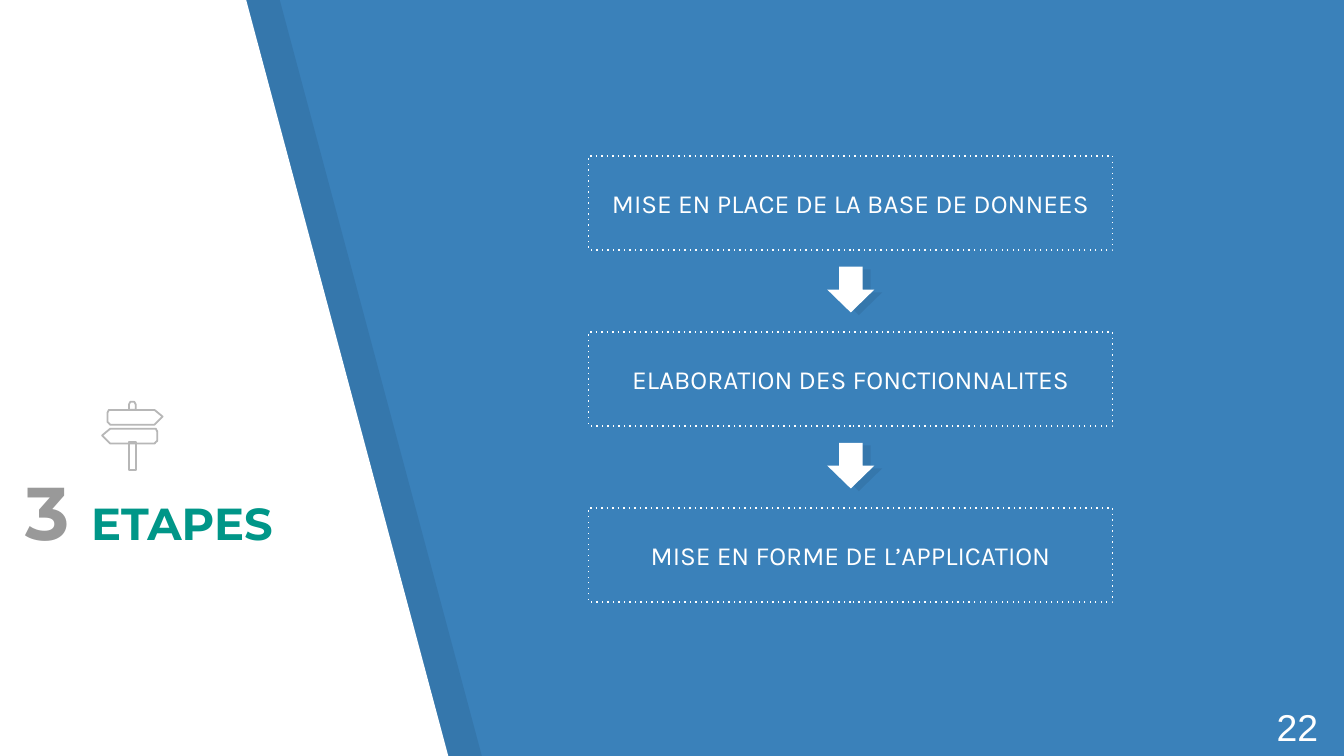
from lxml import etree
from pptx import Presentation
from pptx.dml.color import RGBColor
from pptx.enum.shapes import MSO_SHAPE
from pptx.enum.text import MSO_ANCHOR, PP_ALIGN
from pptx.oxml.ns import qn
from pptx.util import Inches, Pt

RECTANGLE = MSO_SHAPE.RECTANGLE
RIGHT_ARROW = MSO_SHAPE.RIGHT_ARROW
TOP, MIDDLE, BOTTOM = MSO_ANCHOR.TOP, MSO_ANCHOR.MIDDLE, MSO_ANCHOR.BOTTOM
LEFT, CENTER = PP_ALIGN.LEFT, PP_ALIGN.CENTER

BLUE = RGBColor(0x3A, 0x81, 0xBA)
WHITE = RGBColor(0xFF, 0xFF, 0xFF)
BLACK = RGBColor(0x00, 0x00, 0x00)
GREEN = RGBColor(0x00, 0x96, 0x88)
GRAY = RGBColor(0x99, 0x99, 0x99)
LIGHT_GRAY = RGBColor(0xB7, 0xB7, 0xB7)

PAGE_WIDTH = 10
PAGE_HEIGHT = PAGE_WIDTH * 9 / 16
STEPS = [
    "MISE EN PLACE DE LA BASE DE DONNEES",
    "ELABORATION DES FONCTIONNALITES",
    "MISE EN FORME DE L’APPLICATION",
]
STEP_LEFT, STEP_TOP, STEP_WIDTH, STEP_HEIGHT = 4.38, 1.16, 3.9, 0.7
STEP_PITCH = 1.31
ARROW_LEFT, ARROW_DROP = 6.16, 0.82
SHADOW_OPACITY = 7


def style_shape(shape, fill=None, opacity=100, line=None, line_width=0.75):
    shape.shadow.inherit = False
    if fill is None:
        shape.fill.background()
    else:
        shape.fill.solid()
        shape.fill.fore_color.rgb = fill
        if opacity < 100:
            color = shape._element.spPr.find(".//" + qn("a:srgbClr"))
            etree.SubElement(color, qn("a:alpha"), val=str(opacity * 1000))
    if line is None:
        shape.line.fill.background()
    else:
        shape.line.color.rgb = line
        shape.line.width = Pt(line_width)


def add_span(para, text, font="Arial", size=14, color=WHITE, bold=False):
    span = para.add_run()
    span.text = text
    span.font.name = font
    span.font.size = Pt(size)
    span.font.color.rgb = color
    span.font.bold = bold


def prepare_text(shape, anchor=TOP, align=LEFT, margin=0.1):
    frame = shape.text_frame
    frame.word_wrap = True
    frame.vertical_anchor = anchor
    frame.margin_left = frame.margin_right = Inches(0.1)
    frame.margin_top = frame.margin_bottom = Inches(margin)
    para = frame.paragraphs[0]
    para.alignment = align
    return para


def add_text_box(page, left, top, width, height, **layout):
    box = page.shapes.add_textbox(
        Inches(left), Inches(top), Inches(width), Inches(height))
    return prepare_text(box, **layout)


def add_outline(shapes, points, **style):
    corners = [(Inches(x), Inches(y)) for x, y in points]
    builder = shapes.build_freeform(*corners[0])
    builder.add_line_segments(corners[1:], close=True)
    style_shape(builder.convert_to_shape(), **style)


def add_panel(page, shift, **style):
    corners = [(-0.02, -0.01), (-0.02, 5.64), (3.34, 5.64), (1.83, -0.01)]
    add_outline(page.shapes, [(x + shift, y) for x, y in corners], **style)


def add_title(page):
    para = add_text_box(page, 0, 3.5, 2.22, 0.73, anchor=BOTTOM)
    add_span(para, " ", font="Montserrat", size=24, color=GRAY, bold=True)
    add_span(para, "3 ", font="Montserrat", size=40, color=GRAY, bold=True)
    add_span(para, "ETAPES", font="Montserrat", size=24, color=GREEN, bold=True)


def add_step(page, text, top):
    box = page.shapes.add_shape(
        RECTANGLE, Inches(STEP_LEFT), Inches(top),
        Inches(STEP_WIDTH), Inches(STEP_HEIGHT))
    style_shape(box, line=WHITE)
    border = box._element.spPr.find(qn("a:ln"))
    etree.SubElement(border, qn("a:prstDash"), val="dot")
    para = prepare_text(box, anchor=MIDDLE, align=CENTER)
    add_span(para, text, font="Karla")


def add_down_arrow(page, top):
    group = page.shapes.add_group_shape()
    for right, down, fill, opacity in [
            (0.06, 0.02, BLACK, SHADOW_OPACITY), (0, 0, WHITE, 100)]:
        arrow = group.shapes.add_shape(
            RIGHT_ARROW, Inches(ARROW_LEFT + right), Inches(top + down),
            Inches(0.34), Inches(0.35))
        arrow.rotation = 90
        style_shape(arrow, fill=fill, opacity=opacity)


def add_signpost(page):
    board = [(1.15, 3.05), (0.82, 3.05), (0.81, 3.05), (0.8, 3.07),
             (0.8, 3.14), (0.81, 3.15), (0.82, 3.16), (1.15, 3.16),
             (1.21, 3.1)]
    mirrored_board = [(1.97 - x, y + 0.14) for x, y in board]
    cap = [(1.01, 3.05), (1.01, 3.01), (1, 2.99), (0.97, 2.99),
           (0.96, 3.01), (0.96, 3.05)]
    post = [(0.96, 3.29), (0.96, 3.5), (1.01, 3.5), (1.01, 3.29)]
    group = page.shapes.add_group_shape()
    for points in (board, mirrored_board, cap, post):
        add_outline(group.shapes, points, line=LIGHT_GRAY, line_width=0.96)


def main():
    deck = Presentation()
    deck.slide_width = Inches(PAGE_WIDTH)
    deck.slide_height = Inches(PAGE_HEIGHT)
    page = deck.slides.add_slide(deck.slide_layouts[6])
    page.background.fill.solid()
    page.background.fill.fore_color.rgb = BLUE

    add_panel(page, 0.25, fill=BLACK, opacity=SHADOW_OPACITY)
    add_panel(page, 0, fill=WHITE)
    add_title(page)
    for index, text in enumerate(STEPS):
        top = STEP_TOP + index * STEP_PITCH
        add_step(page, text, top)
        if index < len(STEPS) - 1:
            add_down_arrow(page, top + ARROW_DROP)
    add_signpost(page)
    number = add_text_box(page, 9.4, 5.19, 0.62, 0.44, margin=0.05)
    add_span(number, "22", size=20)
    deck.save("out.pptx")


if __name__ == "__main__":
    main()
